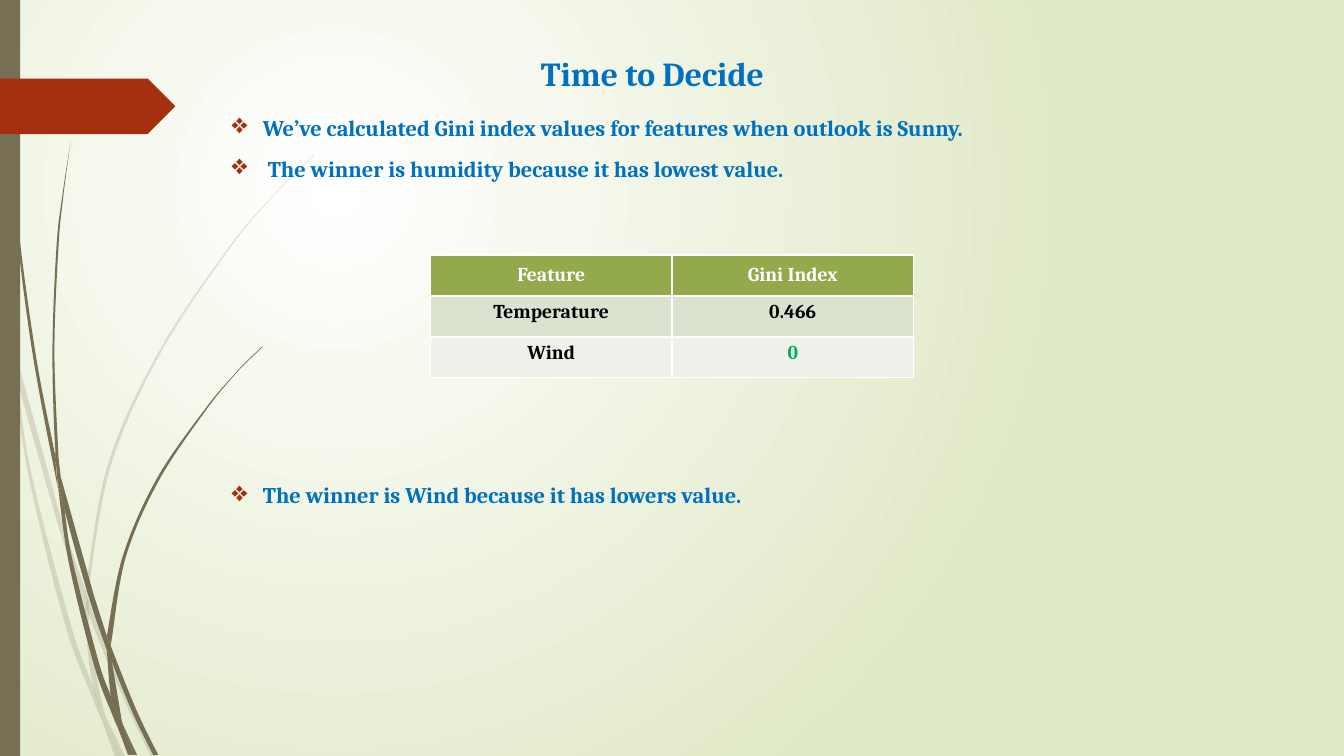
from lxml import etree
from pptx import Presentation
from pptx.dml.color import RGBColor
from pptx.enum.shapes import MSO_SHAPE
from pptx.enum.text import MSO_ANCHOR, PP_ALIGN
from pptx.oxml import parse_xml
from pptx.oxml.ns import nsdecls, qn
from pptx.util import Inches, Pt

RECTANGLE, PENTAGON = MSO_SHAPE.RECTANGLE, MSO_SHAPE.PENTAGON
TOP, MIDDLE = MSO_ANCHOR.TOP, MSO_ANCHOR.MIDDLE
CENTER = PP_ALIGN.CENTER
FONT = "Cambria"
TITLE_ONLY = 5
COLORS = {
    "white": "FFFFFF", "pale_green": "DFE8C4", "bark": "766F54",
    "rust": "A53010", "blue": "0070C0", "black": "000000",
    "winner": "00B050", "header": "92AA4C", "band": "DCE2D0", "light_band": "EEF1E9",
}
FINDINGS = [
    ("We’ve calculated Gini index values for features when outlook is Sunny.", 10),
    (" The winner is humidity because it has lowest value.", 10),
    ("The winner is Wind because it has lowers value.", 214),
]
GINI_ROWS = [("Feature", "Gini Index"), ("Temperature", "0.466"), ("Wind", "0")]
FAINT_BLADES = [
    ([(.11, 3.5), (.09, 3.22), (0, 2.82)], [(0, 2.99), (.1, 3.44)]),
    ([(.14, 3.45), (.17, 3.76), (.58, 5.22), (.84, 5.99)], [(.85, 5.86), (.62, 5.2)]),
    ([(.88, 5.96), (.88, 6.1), (1.23, 6.94), (1.5, 7.51)],
     [(1.55, 7.51), (1.27, 6.92), (.92, 6.07)]),
    ([(1.05, 7.11), (1.19, 7.51)], [(1.24, 7.51), (1.05, 7.11)]),
    ([(.11, 3.5), (.28, 4.7), (.65, 6.21), (.92, 6.93), (1.01, 7.14)],
     [(.99, 7.07), (.93, 6.83), (.7, 6.19), (.31, 4.69), (.17, 3.76)]),
    ([(.84, 5.99), (.87, 6.46), (.93, 6.83), (1.05, 7.11)],
     [(1.03, 7.06), (.91, 6.46), (.88, 6.1), (.88, 6.08)]),
    ([(3.12, 1.53), (2.89, 1.75), (2.68, 1.97), (2.28, 2.44), (1.58, 3.48), (1.07, 4.61),
      (.85, 5.84), (.85, 5.86)],
     [(.88, 5.96), (.88, 5.84), (1.1, 4.62), (1.6, 3.49), (2.29, 2.45), (2.68, 1.98),
      (2.9, 1.75), (3.12, 1.54)]),
    ([(1.01, 7.14), (1.14, 7.51)], [(1.19, 7.51), (1.01, 7.14)]),
    ([(.84, 5.99), (.88, 6.08), (.88, 6.1)], [(.88, 5.96), (.85, 5.86)]),
    ([(.93, 6.83), (.99, 7.07), (1.01, 7.14), (1.19, 7.51)], [(1.05, 7.11), (.96, 6.92)]),
]
DARK_BLADES = [
    ([(.03, 0), (.04, .48), (.07, 1.1), (.17, 2.33), (.33, 3.55), (.56, 4.77), (.57, 4.81)],
     [(.55, 4.57), (.55, 4.53), (.36, 3.55), (.19, 2.32), (.08, 1.09), (.05, .48), (.04, 0)]),
    ([(.6, 4.72), (.64, 5.05), (.88, 5.92), (1.06, 6.45)], [(1.06, 6.31), (.93, 5.9)]),
    ([(1.1, 6.41), (1.11, 6.56), (1.32, 7.08), (1.52, 7.49)],
     [(1.57, 7.49), (1.36, 7.06), (1.13, 6.49)]),
    ([(.57, 4.77), (.68, 5.57), (.93, 6.59), (1.11, 7.08), (1.17, 7.22)],
     [(1.16, 7.17), (1.1, 6.91), (.98, 6.57), (.72, 5.56), (.64, 5.05)]),
    ([(.7, 1.41), (.62, 1.93), (.56, 2.45), (.52, 3.49), (.55, 4.49), (.6, 4.72)],
     [(.58, 4.53), (.54, 3.49), (.58, 2.45), (.63, 1.93), (.7, 1.41)]),
    ([(1.22, 7.19), (1.33, 7.49)], [(1.36, 7.49), (1.22, 7.19)]),
    ([(.57, 4.77), (.64, 5.05)], [(.6, 4.72), (.55, 4.49), (.55, 4.53)]),
    ([(2.6, 3.44), (2.45, 3.58), (2.31, 3.73), (2.04, 4.05), (1.56, 4.74), (1.22, 5.51),
      (1.06, 6.31)],
     [(1.1, 6.41), (1.11, 6.33), (1.25, 5.52), (1.58, 4.76), (2.05, 4.06), (2.31, 3.74),
      (2.45, 3.59), (2.61, 3.44)]),
    ([(1.17, 7.22), (1.27, 7.49)], [(1.31, 7.49), (1.17, 7.22)]),
    ([(1.06, 6.45), (1.1, 6.91), (1.16, 7.06), (1.22, 7.19)], [(1.21, 7.16), (1.11, 6.56)]),
    ([(1.06, 6.31), (1.06, 6.45), (1.11, 6.56)], [(1.1, 6.41), (1.06, 6.31)]),
    ([(1.1, 6.91), (1.17, 7.22), (1.3, 7.49)], [(1.33, 7.49), (1.22, 7.19), (1.16, 7.06)]),
]


def rgb(name):
    """Look up a named colour."""
    return RGBColor.from_string(COLORS[name])


def style_font(font, size, color):
    """Set the bold slide face in a size and colour."""
    font.name, font.size, font.bold = FONT, Pt(size), True
    font.color.rgb = rgb(color)


def paint(shape, color):
    """Give a shape a flat fill without outline or shadow."""
    shape.shadow.inherit = False
    shape.fill.solid()
    shape.fill.fore_color.rgb = rgb(color)
    shape.line.fill.background()


def curve_edges(blade, edge_lengths):
    """Turn the straight segments along each edge into smooth curves."""
    nodes = list(blade._element.iter(qn("a:pt")))
    knots = [(int(node.get("x")), int(node.get("y"))) for node in nodes]
    start = 0
    for length in edge_lengths:
        edge = knots[start:start + length]
        padded = [edge[0], *edge, edge[-1]]
        for i in range(1, length):
            segment = nodes[start + i].getparent()
            segment.tag = qn("a:cubicBezTo")
            before, here, there, after = padded[i - 1:i + 3]
            leave = [h + (t - b) / 6 for b, h, t in zip(before, here, there)]
            arrive = [t - (a - h) / 6 for h, t, a in zip(here, there, after)]
            for position, (x, y) in enumerate((leave, arrive)):
                segment.insert(position, etree.Element(
                    qn("a:pt"), x=str(round(x)), y=str(round(y))))
        start += length


def add_blades(slide, left, top, blades, opacity=100):
    """Draw grass blades, each between its two edges."""
    for edges in blades:
        outline = [(left + Inches(x), top + Inches(y)) for edge in edges for x, y in edge]
        builder = slide.shapes.build_freeform(*outline[0])
        builder.add_line_segments(outline[1:], close=False)
        blade = builder.convert_to_shape()
        curve_edges(blade, [len(edge) for edge in edges])
        paint(blade, "bark")
        if opacity < 100:
            tint = blade.fill._xPr.find(".//" + qn("a:srgbClr"))
            etree.SubElement(tint, qn("a:alpha"), val=str(opacity * 1000))


def add_background(slide):
    """Fill the slide with a glow centred in its upper left."""
    fill = slide.background.fill
    fill.gradient()
    for stop, color, position in zip(fill.gradient_stops, ("white", "pale_green"), (0, 1)):
        stop.color.rgb = rgb(color)
        stop.position = position
    direction = fill._fill._gradFill.find(qn("a:lin"))
    direction.getparent().replace(direction, parse_xml(
        f'<a:path {nsdecls("a")} path="circle">'
        '<a:fillToRect l="50000" t="50000" r="100000" b="100000"/></a:path>'))


def add_decoration(slide, left, top, height):
    """Draw the grass, the side bar and the tag at the left edge."""
    add_blades(slide, left, top, FAINT_BLADES, 20)
    add_blades(slide, left, top, DARK_BLADES)
    paint(slide.shapes.add_shape(RECTANGLE, left, top, Inches(0.2), height), "bark")
    paint(slide.shapes.add_shape(
        PENTAGON, left, top + Inches(0.78), Inches(1.74), Inches(0.55)), "rust")


def add_title(slide, left, top, width, height):
    """Place and format the slide title."""
    title = slide.shapes.title
    title.left, title.top, title.width, title.height = left, top, width, height
    title.text_frame.text = "Time to Decide"
    title.text_frame.vertical_anchor = TOP
    heading = title.text_frame.paragraphs[0]
    heading.alignment = CENTER
    style_font(heading.font, 24, "blue")


def add_findings(slide, left, top, width, height):
    """Write the bulleted findings, leaving room for the table."""
    frame = slide.shapes.add_textbox(left, top, width, height).text_frame
    frame.word_wrap = True
    for index, (text, gap) in enumerate(FINDINGS):
        finding = frame.add_paragraph() if index else frame.paragraphs[0]
        finding.text = text
        finding.space_before = Pt(gap)
        style_font(finding.font, 16, "blue")
        props = finding._p.get_or_add_pPr()
        props.set("marL", str(Inches(0.31)))
        props.set("indent", str(-Inches(0.31)))
        for part in (f'buClr {nsdecls("a")}><a:srgbClr val="{COLORS["rust"]}"/></a:buClr',
                     f'buSzPct {nsdecls("a")} val="125000"/',
                     f'buChar {nsdecls("a")} char="❖"/'):
            props.find(qn("a:defRPr")).addprevious(parse_xml(f"<a:{part}>"))


def add_gini_table(slide, left, top, width, height):
    """Tabulate the Gini index of each feature."""
    table = slide.shapes.add_table(
        len(GINI_ROWS), len(GINI_ROWS[0]), left, top, width, height).table
    for row, (values, band) in enumerate(zip(GINI_ROWS, ("header", "band", "light_band"))):
        for column, value in enumerate(values):
            cell = table.cell(row, column)
            cell.text = value
            cell.vertical_anchor = TOP if row else MIDDLE
            for side in ("lnL", "lnR", "lnT", "lnB"):
                cell._tc.get_or_add_tcPr().append(parse_xml(
                    f'<a:{side} {nsdecls("a")} w="{Pt(1)}"><a:solidFill>'
                    f'<a:srgbClr val="{COLORS["white"]}"/></a:solidFill></a:{side}>'))
            cell.fill.solid()
            cell.fill.fore_color.rgb = rgb(band)
            label = cell.text_frame.paragraphs[0]
            label.alignment = CENTER
            color = "winner" if value == "0" else "black" if row else "white"
            style_font(label.font, 14, color)


def main():
    """Build and save the slide."""
    deck = Presentation()
    deck.slide_width, deck.slide_height = Inches(13.33), Inches(7.5)
    slide = deck.slides.add_slide(deck.slide_layouts[TITLE_ONLY])
    add_background(slide)
    add_decoration(slide, 0, 0, deck.slide_height)
    add_title(slide, Inches(1.97), Inches(0.47), Inches(9), Inches(0.85))
    add_findings(slide, Inches(2.2), Inches(1.08), Inches(9), Inches(4.95))
    add_gini_table(slide, Inches(4.27), Inches(2.53), Inches(4.79), Inches(1.22))
    deck.save("out.pptx")


if __name__ == "__main__":
    main()
